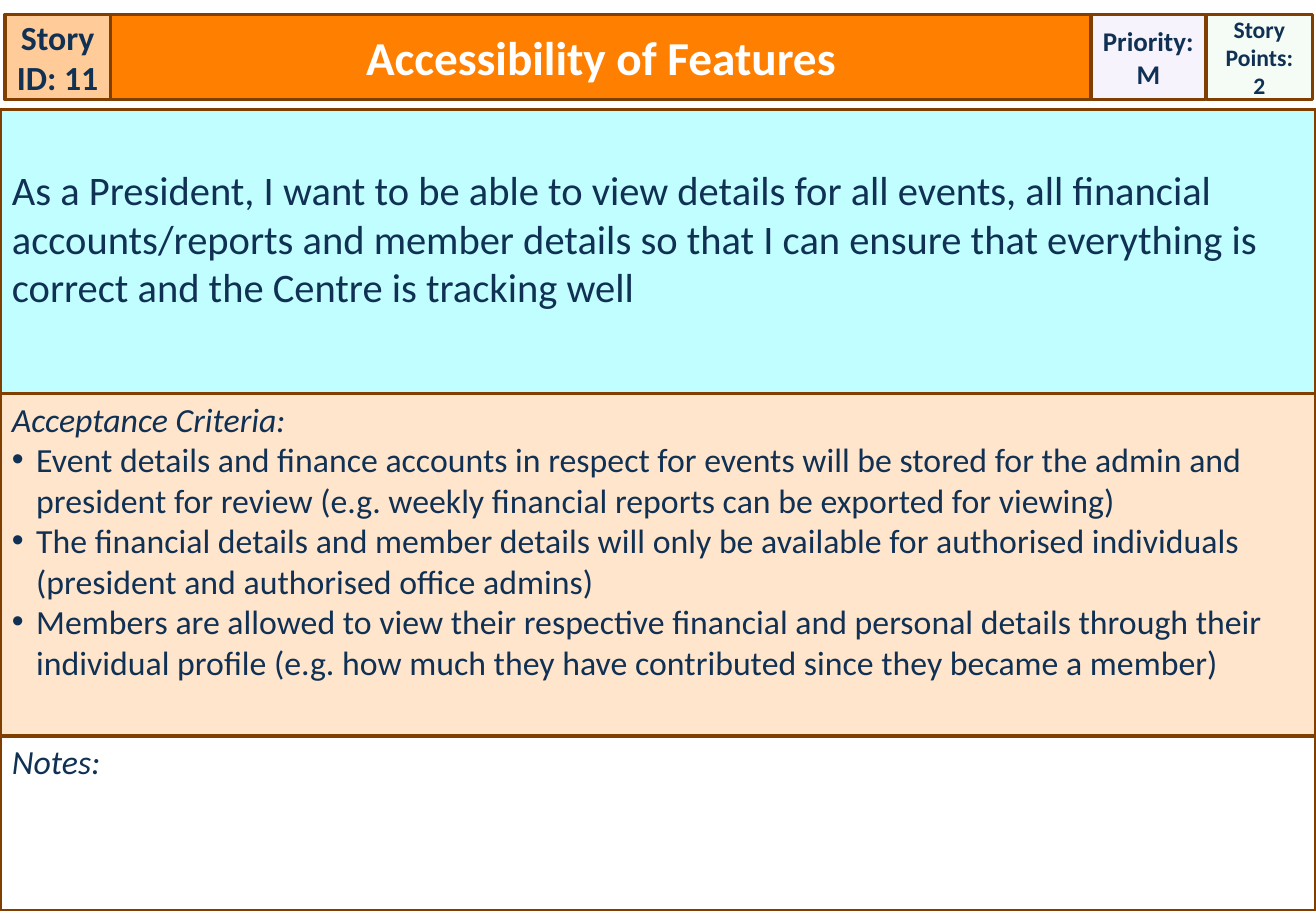
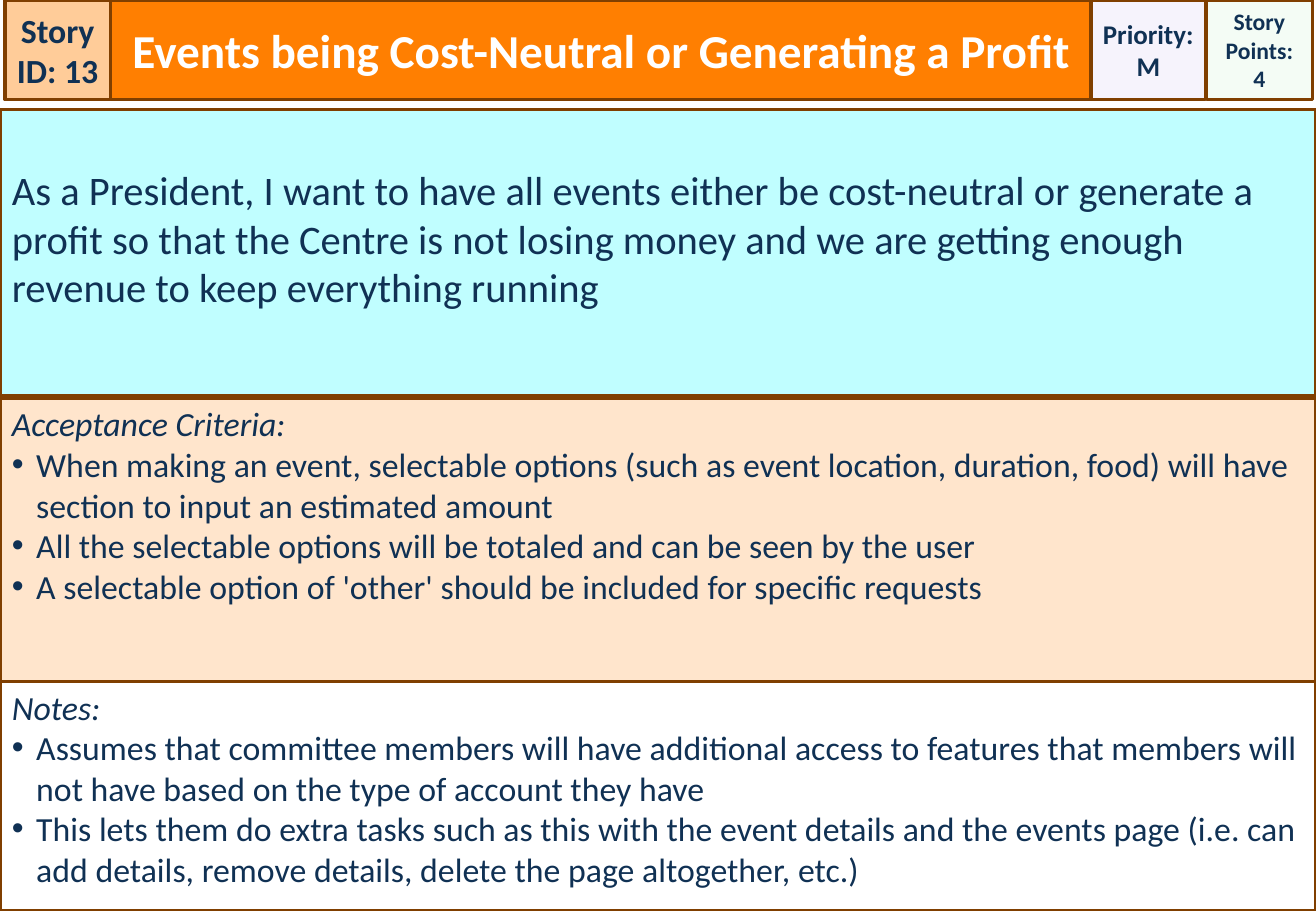
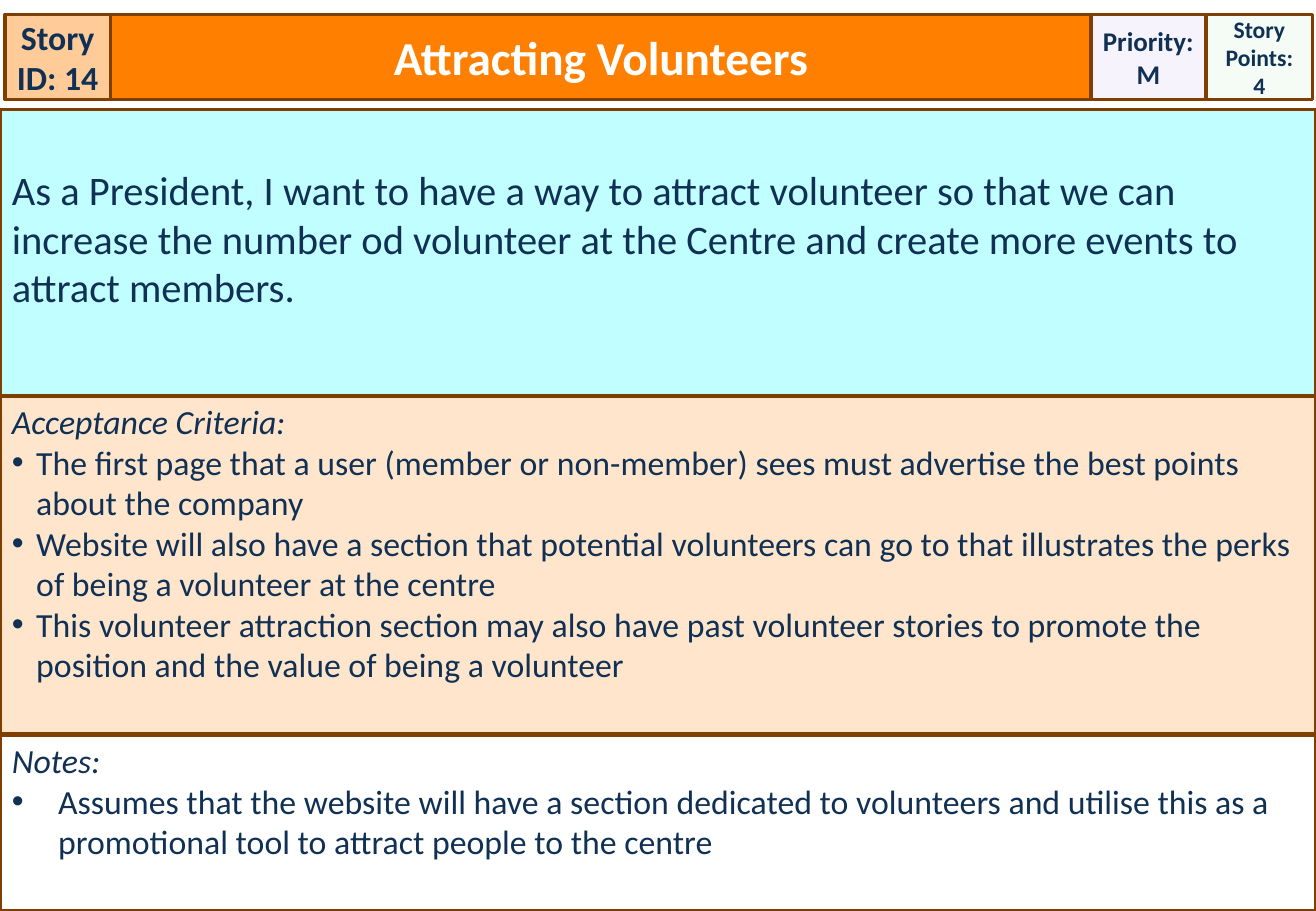
import dataclasses

import lxml.etree
import pptx
import pptx.dml.color
import pptx.enum.shapes
import pptx.enum.text
import pptx.oxml.ns
import pptx.util

Inches = pptx.util.Inches
ALIGN = pptx.enum.text.PP_ALIGN
ANCHOR = pptx.enum.text.MSO_ANCHOR

FONT = "Calibri"
INK, WHITE, BORDER = "103154", "FFFFFF", "803F00"
ID_FILL, TITLE_FILL, PRIORITY_FILL, POINTS_FILL = "FFCC99", "FF7F01", "F6F3FC", "CCF0CD"
STORY_FILL, CRITERIA_FILL = "C0FEFF", "FFE5CC"
PAGE_WIDTH, PAGE_HEIGHT = 10.83, 7.5
HEADER_BOTTOM, STORY_TOP = 0.82, 0.9
HEADER_INSETS = (0, 0.05, 0, 0.05)
TITLE_INSETS = (0.1, 0.05, 0.1, 0.05)
STORY_INSETS = (0.1, 0.46, 0.1, 0.05)
LIST_INSETS = (0.1, 0.04, 0.1, 0.05)


@dataclasses.dataclass
class Story:
    """Content of one story card and the edges that vary between cards."""
    number: int
    title: str
    points: int
    text: str
    criteria: list
    remarks: list
    header_top: float = 0.12
    story_bottom: float = 3.26
    criteria_top: float = 3.26
    criteria_bottom: float = 6.04
    remarks_top: float = 6.05
    remarks_indent: float = 0.2


STORIES = [
    Story(
        11, "Accessibility of Features", 2,
        "As a President, I want to be able to view details for all events, all financial "
        "accounts/reports and member details so that I can ensure that everything is "
        "correct and the Centre is tracking well",
        ["Event details and finance accounts in respect for events will be stored for the "
         "admin and president for review (e.g. weekly financial reports can be exported for "
         "viewing)",
         "The financial details and member details will only be available for authorised "
         "individuals (president and authorised office admins)",
         "Members are allowed to view their respective financial and personal details through "
         "their individual profile (e.g. how much they have contributed since they became a "
         "member)"],
        [],
        story_bottom=3.24, criteria_top=3.24, criteria_bottom=6.06, remarks_top=6.06),
    Story(
        13, "Events being Cost-Neutral or Generating a Profit", 4,
        "As a President, I want to have all events either be cost-neutral or generate a "
        "profit so that the Centre is not losing money and we are getting enough revenue to "
        "keep everything running",
        ["When making an event, selectable options (such as event location, duration, food) "
         "will have section to input an estimated amount",
         "All the selectable options will be totaled and can be seen by the user",
         "A selectable option of 'other' should be included for specific requests"],
        ["Assumes that committee members will have additional access to features that members "
         "will not have based on the type of account they have",
         "This lets them do extra tasks such as this with the event details and the events "
         "page (i.e. can add details, remove details, delete the page altogether, etc.)"],
        header_top=0, criteria_top=3.28, criteria_bottom=5.61, remarks_top=5.61),
    Story(
        14, "Attracting Volunteers", 4,
        "As a President, I want to have a way to attract volunteer so that we can increase "
        "the number od volunteer at the Centre and create more events to attract members.",
        ["The first page that a user (member or non-member) sees must advertise the best "
         "points about the company",
         "Website will also have a section that potential volunteers can go to that "
         "illustrates the perks of being a volunteer at the centre",
         "This volunteer attraction section may also have past volunteer stories to promote "
         "the position and the value of being a volunteer"],
        ["Assumes that the website will have a section dedicated to volunteers and utilise "
         "this as a promotional tool to attract people to the centre"],
        remarks_indent=0.38),
]


def colour(value):
    """Turn a hex string into a colour."""
    return pptx.dml.color.RGBColor.from_string(value)


def add_panel(page, bounds, fill, text, size, insets, ink=INK, bold=False,
              align=ALIGN.LEFT, anchor=ANCHOR.TOP, wrap=True):
    """Add a bordered rectangle with text; bounds are left, top, right, bottom."""
    left, top, right, bottom = bounds
    panel = page.shapes.add_shape(
        pptx.enum.shapes.MSO_SHAPE.RECTANGLE,
        Inches(left), Inches(top), Inches(right - left), Inches(bottom - top))
    panel.shadow.inherit = False
    panel.fill.solid()
    panel.fill.fore_color.rgb = colour(fill)
    panel.line.color.rgb = colour(BORDER)
    panel.line.width = pptx.util.Pt(2)
    frame = panel.text_frame
    frame.margin_left, frame.margin_top, frame.margin_right, frame.margin_bottom = map(
        Inches, insets)
    frame.word_wrap = wrap
    frame.vertical_anchor = anchor
    frame.text = text
    for para in frame.paragraphs:
        para.alignment = align
        for span in para.runs:
            span.font.name = FONT
            span.font.size = pptx.util.Pt(size)
            span.font.bold = bold
            span.font.color.rgb = colour(ink)
    return panel


def set_opacity(panel, percent):
    """Make the solid fill of a panel partly transparent."""
    shade = panel._element.spPr.find(
        pptx.oxml.ns.qn("a:solidFill") + "/" + pptx.oxml.ns.qn("a:srgbClr"))
    lxml.etree.SubElement(shade, pptx.oxml.ns.qn("a:alpha")).set("val", str(percent * 1000))


def add_bullet(para, indent):
    """Give a paragraph a bullet with a hanging indent."""
    properties = para._p.get_or_add_pPr()
    properties.set("marL", str(Inches(indent)))
    properties.set("indent", str(-Inches(indent)))
    lxml.etree.SubElement(properties, pptx.oxml.ns.qn("a:buFont")).set("typeface", "Arial")
    lxml.etree.SubElement(properties, pptx.oxml.ns.qn("a:buChar")).set("char", "•")


def add_list_panel(page, bounds, fill, heading, items, indent=0.2):
    """Add a panel with an italic heading above bulleted items."""
    panel = add_panel(page, bounds, fill, "\n".join([heading] + items), 20, LIST_INSETS)
    first, *rest = panel.text_frame.paragraphs
    first.runs[0].font.italic = True
    for para in rest:
        add_bullet(para, indent)


def add_header(page, story):
    """Add the row of story number, title, priority and points."""
    cells = [
        (0.04, 0.91, ID_FILL, f"Story ID: {story.number}", 20, HEADER_INSETS, INK, True),
        (0.91, 8.98, TITLE_FILL, story.title, 28, TITLE_INSETS, WHITE, True),
        (9.93, 10.8, POINTS_FILL, f"Story Points:\n{story.points}", 14, HEADER_INSETS, INK, True),
        (8.98, 9.92, PRIORITY_FILL, "Priority:\nM", 16, HEADER_INSETS, INK, False),
    ]
    for left, right, fill, text, size, insets, ink, wrap in cells:
        panel = add_panel(page, (left, story.header_top, right, HEADER_BOTTOM), fill, text,
                          size, insets, ink, True, ALIGN.CENTER, ANCHOR.MIDDLE, wrap)
        if fill == POINTS_FILL:
            set_opacity(panel, 20)


def add_story_page(deck, story):
    """Add one story card as a slide."""
    page = deck.slides.add_slide(deck.slide_layouts[6])
    add_header(page, story)
    add_panel(page, (0, STORY_TOP, PAGE_WIDTH, story.story_bottom), STORY_FILL,
              story.text, 24, STORY_INSETS)
    add_list_panel(page, (0, story.criteria_top, PAGE_WIDTH, story.criteria_bottom),
                   CRITERIA_FILL, "Acceptance Criteria:", story.criteria)
    add_list_panel(page, (0, story.remarks_top, PAGE_WIDTH, PAGE_HEIGHT),
                   WHITE, "Notes:", story.remarks, story.remarks_indent)


def main():
    """Build the deck of story cards and save it."""
    deck = pptx.Presentation()
    deck.slide_width = Inches(PAGE_WIDTH)
    deck.slide_height = Inches(PAGE_HEIGHT)
    for story in STORIES:
        add_story_page(deck, story)
    deck.save("out.pptx")


if __name__ == "__main__":
    main()
